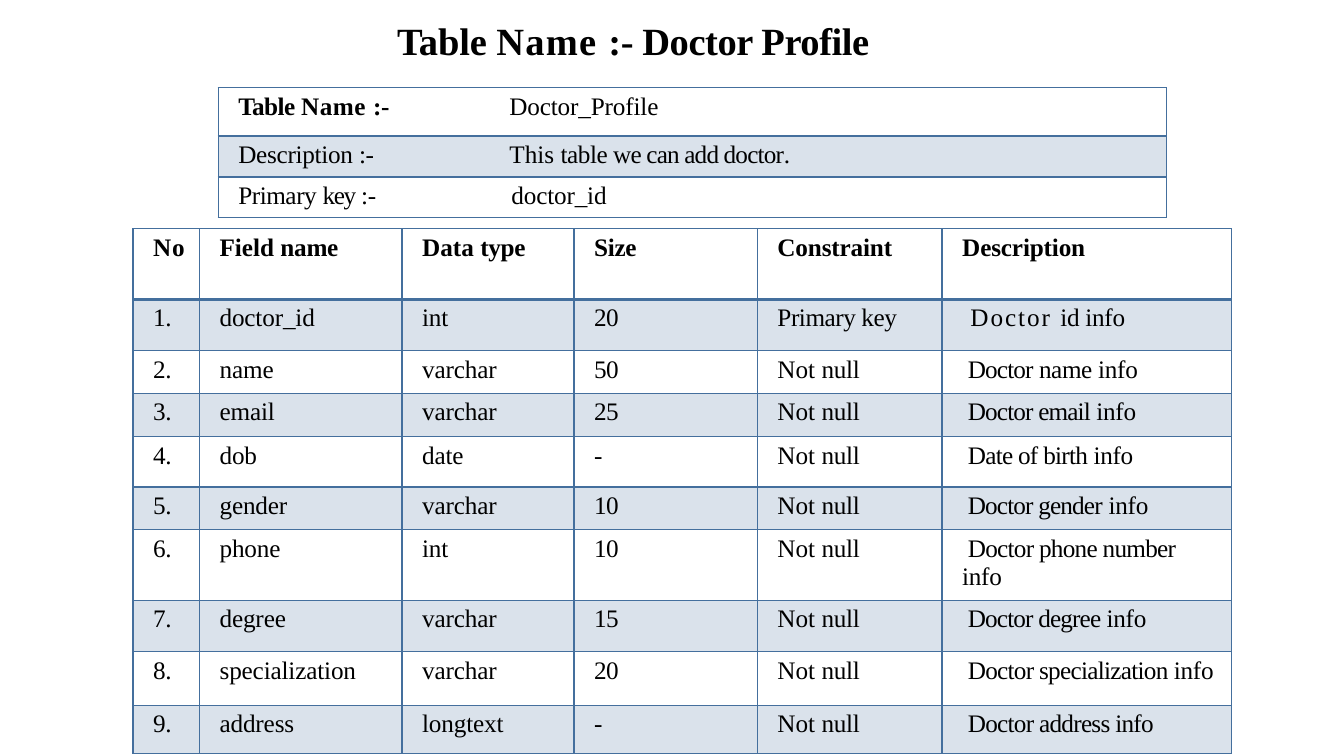
"""Build the Doctor Profile table definition slide."""
from lxml import etree
from pptx import Presentation
from pptx.dml.color import RGBColor
from pptx.oxml.ns import qn
from pptx.util import Pt

FONT = "Times New Roman"
BLACK, BLUE, BAND = "000000", "446F9D", "DAE2EB"
THIN, THICK = 0.96, 2.21


def add_runs(paragraph, pieces, size, bold):
    for text, spacing in pieces:
        run = paragraph.add_run()
        run.text = text
        run.font.name = FONT
        run.font.size = Pt(size)
        run.font.bold = bold
        run.font.color.rgb = RGBColor.from_string(BLACK)
        run.font._element.set("spc", str(round(spacing * 100)))


def add_grid(slide, left, top, widths, heights):
    table = slide.shapes.add_table(len(heights), len(widths), Pt(left), Pt(top),
                                   Pt(sum(widths)), Pt(sum(heights))).table
    table.first_row = table.horz_banding = False
    for column, width in zip(table.columns, widths):
        column.width = Pt(width)
    for number, (row, height) in enumerate(zip(table.rows, heights)):
        row.height = Pt(height)
        edges = {"lnL": THIN, "lnR": THIN,
                 "lnT": THICK if number == 1 else THIN,
                 "lnB": THICK if number == 0 else THIN}
        for cell in row.cells:
            cell.margin_left, cell.margin_right = Pt(7.2), Pt(9)
            cell.margin_top = cell.margin_bottom = Pt(3.6)
            if number % 2:
                cell.fill.solid()
                cell.fill.fore_color.rgb = RGBColor.from_string(BAND)
            else:
                cell.fill.background()
            properties = cell._tc.get_or_add_tcPr()
            for position, (edge, width) in enumerate(edges.items()):
                line = etree.Element(qn("a:" + edge), w=str(Pt(width)))
                fill = etree.SubElement(line, qn("a:solidFill"))
                etree.SubElement(fill, qn("a:srgbClr"), val=BLUE)
                properties.insert(position, line)
            cell.text_frame.paragraphs[0]._p.get_or_add_pPr().set("marL", str(Pt(7.2)))
    return table


presentation = Presentation()
presentation.slide_width, presentation.slide_height = Pt(960), Pt(540)
slide = presentation.slides.add_slide(presentation.slide_layouts[6])

title = slide.shapes.add_textbox(Pt(276.5), Pt(8.6), Pt(480), Pt(40))
title.text_frame.word_wrap = True
add_runs(title.text_frame.paragraphs[0],
         [("Table ", -0.1), ("Name ", 0.9), (":- Doctor Profile", -0.3)], 27.5, True)

summary_rows = [
    ([("Table ", -0.4), ("Name ", 0.4), (":-\t", -0.3)], [("Doctor_Profile", -0.1)], 193.7),
    ([("Description ", -0.2), (":-", -0.3)],
     [("\tThis ", 0), ("table", -0.3), (" we can add doctor", -0.6), (".", -0.1)], 193.7),
    ([("Primary ", -0.3), ("key ", -1), (":-\t", -0.3)], [("doctor_id", -0.1)], 195.1),
]
summary = add_grid(slide, 155.8, 62.8, [677.5], [34.4, 29.2, 29.2])
for number, (label, value, tab_stop) in enumerate(summary_rows):
    paragraph = summary.cell(number, 0).text_frame.paragraphs[0]
    tabs = etree.SubElement(paragraph._p.get_or_add_pPr(), qn("a:tabLst"))
    etree.SubElement(tabs, qn("a:tab"), pos=str(Pt(tab_stop)), algn="l")
    add_runs(paragraph, label, 18, number == 0)
    add_runs(paragraph, value, 18, False)

headings = [
    [("No", 0.5)],
    [("Field ", 0), ("name", -0.2)],
    [("Data ", 0), ("type", -0.2)],
    [("Size", -0.2)],
    [("Constraint", -0.1)],
    [("Description", -0.1)],
]
fields = [
    ("doctor_id", "int", "20", [("Doctor ", 1.4), ("id info", -0.2)]),
    ("name", "varchar", "50", [("Doctor ", -0.6), ("name ", -0.3), ("info", -0.2)]),
    ("email", "varchar", "25", [("Doctor email ", -0.6), ("info", -0.2)]),
    ("dob", "date", "-", [("Date of birth ", -0.5), ("info", -0.2)]),
    ("gender", "varchar", "10", [("Doctor gender", -0.6), (" info", -0.2)]),
    ("phone", "int", "10", [("Doctor phone number ", -0.5), ("info", -0.2)]),
    ("degree", "varchar", "15", [("Doctor degree ", -0.6), ("info", -0.2)]),
    ("specialization", "varchar", "20", [("Doctor specialization ", -0.5), ("info", -0.2)]),
    ("address", "longtext", "-", [("Doctor address info", -0.5)]),
]
field_rows = [headings]
for number, (name, data_type, size, description) in enumerate(fields, 1):
    constraint = [("Primary key", -0.3)] if number == 1 else [("Not ", 0), ("null", -0.2)]
    field_rows.append([[(f"{number}.", -0.3)], [(name, -0.1)], [(data_type, -0.1)],
                       [(size, -0.3)], constraint, description])

field_table = add_grid(slide, 95, 163.4, [47.5, 144.7, 122.8, 131, 132, 206.6],
                       [50.4, 36.7, 30.5, 31, 36, 30.5, 50.2, 36.7, 38.2, 34.6])
for row_number, row in enumerate(field_rows):
    for column_number, pieces in enumerate(row):
        paragraph = field_table.cell(row_number, column_number).text_frame.paragraphs[0]
        if row_number and pieces is row[-1]:
            paragraph._p.get_or_add_pPr().set("indent", str(Pt(5.9 if row_number == 1 else 4)))
        add_runs(paragraph, pieces, 18, row_number == 0)

presentation.save("out.pptx")
